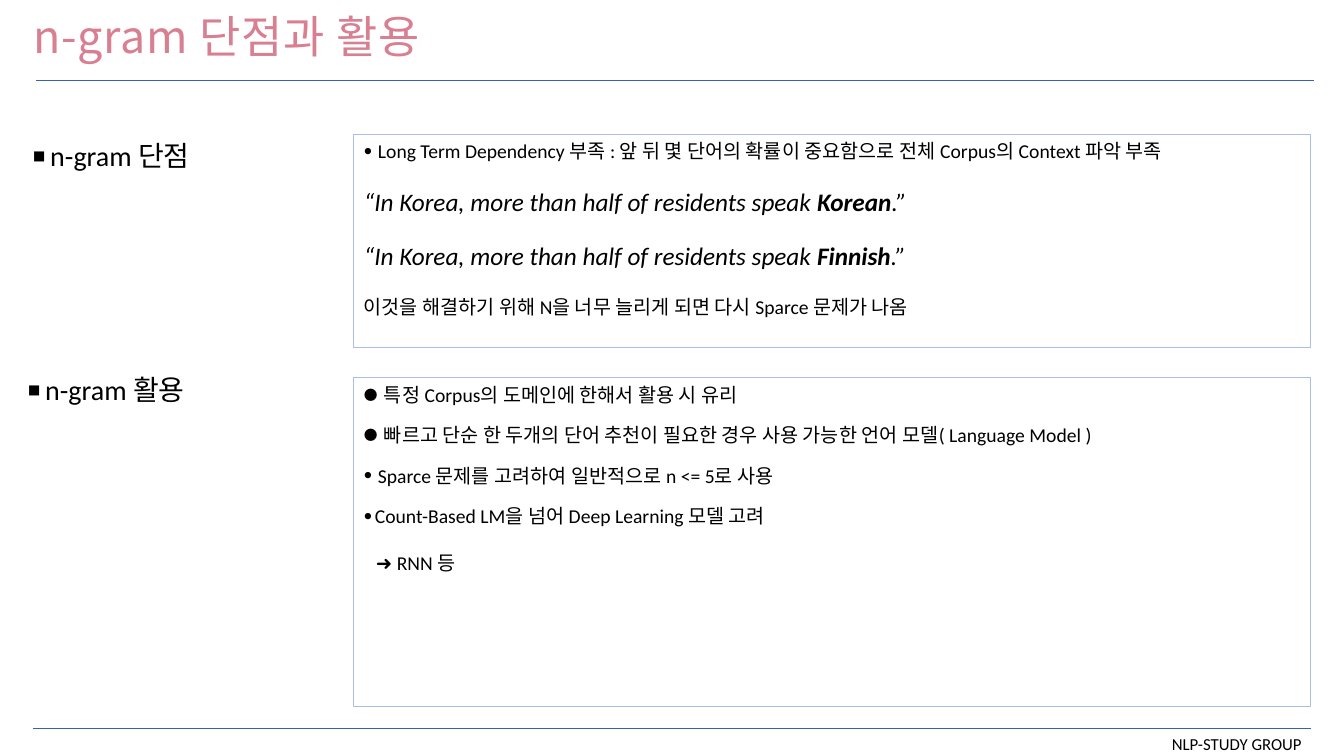
from lxml import etree
from pptx import Presentation, util as u
from pptx.dml.color import RGBColor
from pptx.enum import shapes, text
from pptx.oxml.ns import qn

WIDTH, HEIGHT = 13.33, 7.5
BODY, KOREAN = "Calibri", "Noto Sans CJK KR"
BLACK, BLUE, PALE_BLUE, PINK = "000000", "365FB6", "AABEE6", "D87F92"
BOX_LEFT, BOX_WIDTH = 3.51, 9.49
LABEL_WIDTH, LABEL_HEIGHT = 3.16, 0.44


def color(hex_value):
    return RGBColor.from_string(hex_value)


def inches(*lengths):
    return [u.Inches(length) for length in lengths]


def apply(target, formats):
    for name, value in formats.items():
        setattr(target, name, value)


def add_run(paragraph, words, size, font=BODY, ink=BLACK, **formats):
    run = paragraph.add_run()
    run.text = words
    apply(run.font, dict(name=font, size=u.Pt(size), **formats))
    run.font.color.rgb = color(ink)
    return run


def add_bullet(paragraph, char, indent, font=BODY):
    """Hang a bullet at 70 % of the text size."""
    props = paragraph._p.get_or_add_pPr()
    props.set("marL", str(u.Inches(indent)))
    props.set("indent", str(-u.Inches(indent)))
    for tag, key, value in (("a:buSzPct", "val", "70000"),
                            ("a:buFont", "typeface", font),
                            ("a:buChar", "char", char)):
        etree.SubElement(props, qn(tag)).set(key, value)


def add_rule(slide, left, top, width):
    rule = slide.shapes.add_connector(
        shapes.MSO_CONNECTOR.STRAIGHT, *inches(left, top, left + width, top))
    rule.line.color.rgb = color(BLUE)
    rule.line.width = u.Pt(0.5)
    etree.SubElement(rule._element.spPr, qn("a:effectLst"))


def add_header(slide, left, top, width, height):
    title = slide.shapes.title
    apply(title, dict(zip(("left", "top", "width", "height"),
                          inches(left, top, width, height))))
    apply(title.text_frame, dict(auto_size=text.MSO_AUTO_SIZE.NONE, word_wrap=True,
                                 vertical_anchor=text.MSO_ANCHOR.BOTTOM))
    heading = title.text_frame.paragraphs[0]
    apply(heading, dict(alignment=text.PP_ALIGN.LEFT, line_spacing=0.9))
    run = add_run(heading, "n-gram 단점과 활용", 32, KOREAN, PINK)
    run.font._element.set("spc", "50")
    add_rule(slide, left + 0.13, top + height + 0.12, 12.67)


def add_footer(slide, left, top, width):
    add_rule(slide, left, top, width)
    group = slide.shapes.add_textbox(*inches(left + width - 1.85, top, 1.86, 0.3))
    group.text_frame.word_wrap = True
    paragraph = group.text_frame.paragraphs[0]
    paragraph.alignment = text.PP_ALIGN.RIGHT
    add_run(paragraph, "NLP-STUDY GROUP", 12)


def add_label(slide, left, top, words):
    label = slide.shapes.add_textbox(*inches(left, top, LABEL_WIDTH, LABEL_HEIGHT))
    label.text_frame.word_wrap = True
    paragraph = label.text_frame.paragraphs[0]
    add_bullet(paragraph, "◼", 0.17)
    add_run(paragraph, words, 20)


def add_points(slide, top, height, points):
    """Outlined box; each point is (gap before, bullet indent and font, runs)."""
    box = slide.shapes.add_shape(shapes.MSO_SHAPE.RECTANGLE,
                                 *inches(BOX_LEFT, top, BOX_WIDTH, height))
    box.shadow.inherit = False
    box.fill.background()
    box.line.color.rgb = color(PALE_BLUE)
    box.line.width = u.Pt(0.75)
    frame = box.text_frame
    apply(frame, dict(word_wrap=True, vertical_anchor=text.MSO_ANCHOR.TOP))
    for number, (gap, bullet, runs) in enumerate(points):
        paragraph = frame.add_paragraph() if number else frame.paragraphs[0]
        apply(paragraph, dict(alignment=text.PP_ALIGN.LEFT, space_before=u.Pt(gap)))
        if bullet:
            add_bullet(paragraph, "●", *bullet)
        for words, formats in runs:
            add_run(paragraph, words, **formats)
    return frame


def example(language):
    quote = dict(size=18, italic=True)
    return (17, None, [("“In Korea, more than half of residents speak ", quote),
                       (language, dict(quote, bold=True)), (".”", quote)])


def point(words, gap=12, bullet=None):
    return gap, bullet, [(words, dict(size=14))]


def add_weaknesses(slide, top):
    add_label(slide, 0.23, top, "n-gram 단점")
    add_points(slide, top, 2.12, [
        point("Long Term Dependency 부족 : 앞 뒤 몇 단어의 확률이 중요함으로 "
              "전체 Corpus의 Context 파악 부족", 0, (0.14, BODY)),
        example("Korean"),
        example("Finnish"),
        point("이것을 해결하기 위해 N을 너무 늘리게 되면 다시 Sparce 문제가 나옴", 17),
    ])


def add_uses(slide, top):
    add_label(slide, 0.18, top - 0.1, "n-gram 활용")
    frame = add_points(slide, top, 3.26, [
        point("특정 Corpus의 도메인에 한해서 활용 시 유리", 0, (0.2, KOREAN)),
        point("빠르고 단순 한 두개의 단어 추천이 필요한 경우 사용 가능한 "
              "언어 모델( Language Model )", bullet=(0.2, KOREAN)),
        point("Sparce 문제를 고려하여 일반적으로 n <= 5로 사용", bullet=(0.14, BODY)),
        point("Count-Based LM을 넘어 Deep Learning 모델 고려", bullet=(0.11, BODY)),
        point("➜ RNN 등", 17),
    ])
    # The follow-up step sits slightly inside the list
    frame.paragraphs[-1]._p.get_or_add_pPr().set("marL", str(u.Inches(0.12)))


def main():
    deck = Presentation()
    deck.slide_width, deck.slide_height = inches(WIDTH, HEIGHT)
    slide = deck.slides.add_slide(deck.slide_layouts.get_by_name("Title Only"))
    add_header(slide, 0.23, 0.1, 12.83, 0.58)
    add_weaknesses(slide, 1.33)
    add_uses(slide, 3.75)
    add_footer(slide, 0.33, 7.23, 12.67)
    deck.save("out.pptx")


if __name__ == "__main__":
    main()
